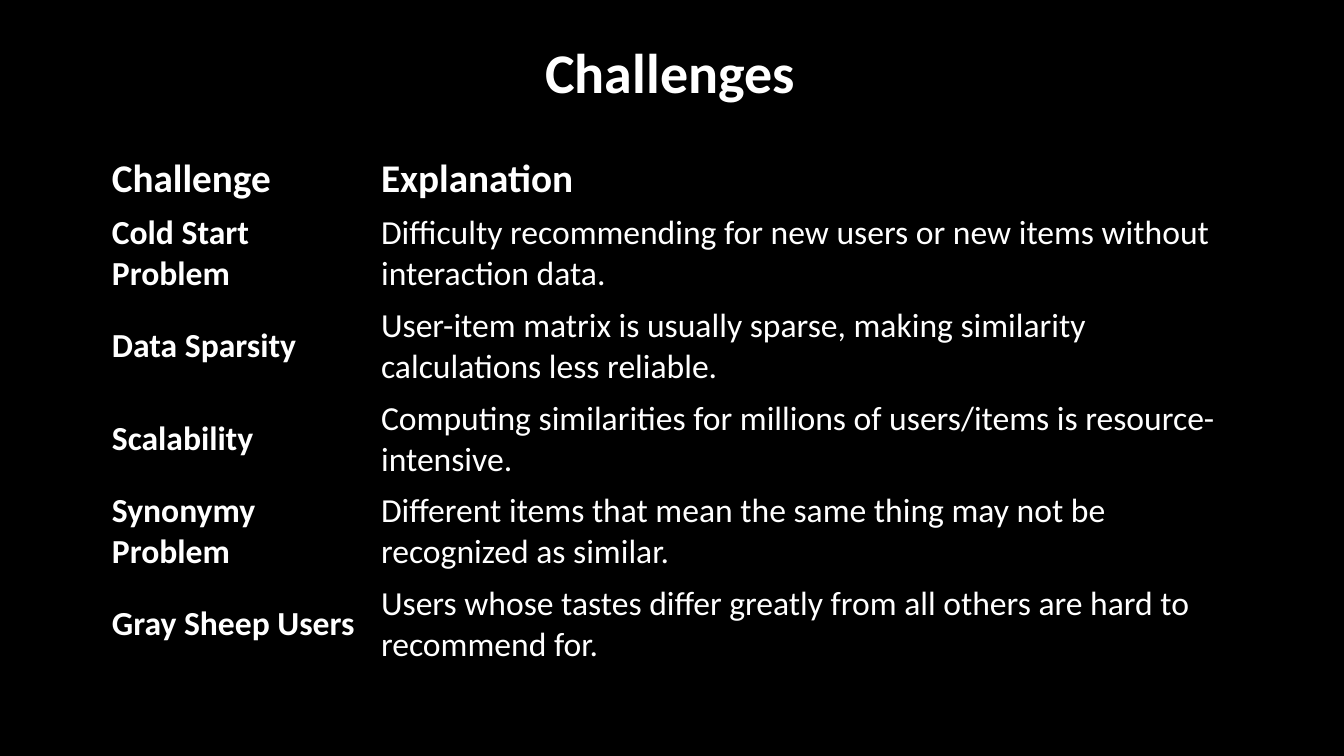
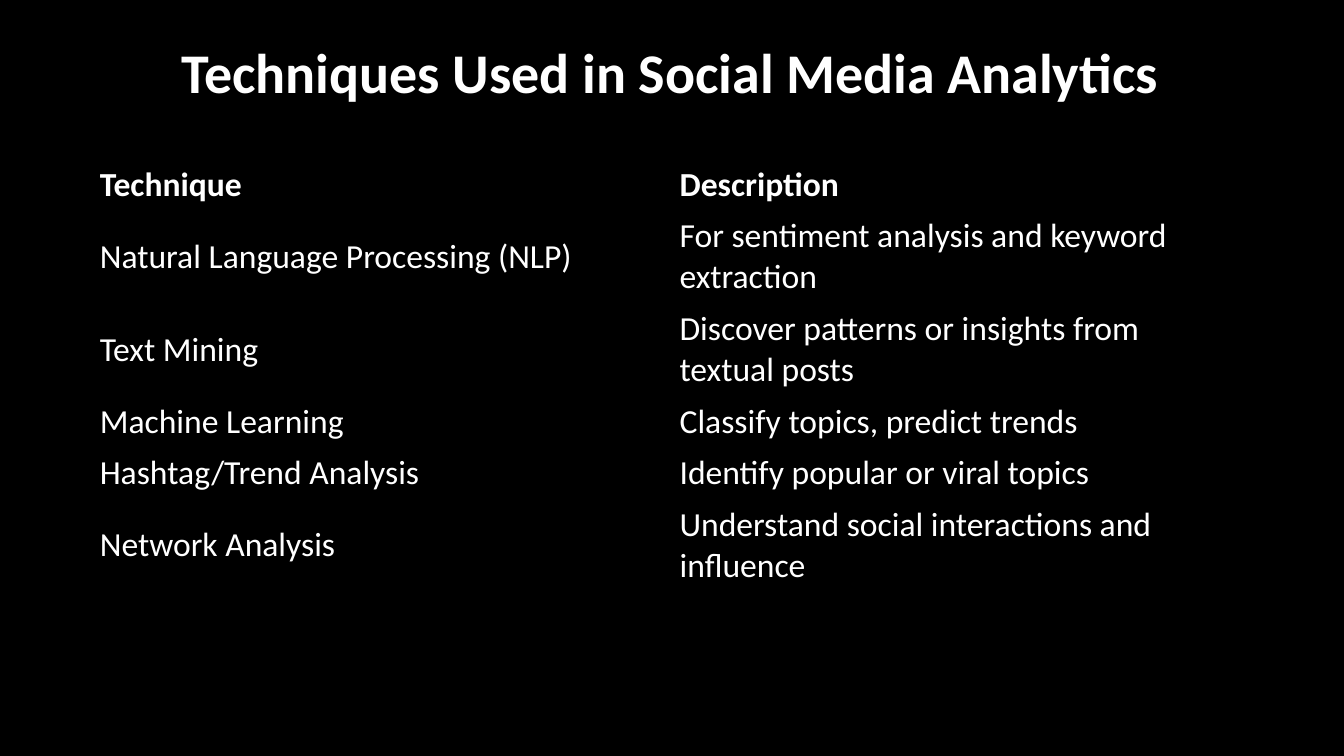
from pptx import Presentation
from pptx.dml.color import RGBColor
from pptx.enum import text
from pptx.util import Inches, Pt

BLACK, WHITE = "000000", "FFFFFF"
FONT = "Calibri"
BODY = 24


def tint(code):
    return RGBColor.from_string(code)


class Deck:
    """Shared style and the slide being built."""

    def __init__(self):
        self.prs = Presentation()
        self.prs.slide_width = Inches(13.33)
        self.prs.slide_height = Inches(7.5)
        self.slide = None

    def style(self, para, size, bold=False):
        for run in para.runs:
            font = run.font
            font.name, font.size, font.bold = FONT, Pt(size), bold
            font.color.rgb = tint(WHITE)

    def page(self, title):
        """Start a black slide with a centred title."""
        self.slide = self.prs.slides.add_slide(self.prs.slide_layouts[6])
        fill = self.slide.background.fill
        fill.solid()
        fill.fore_color.rgb = tint(BLACK)
        box = self.slide.shapes.add_textbox(
            Inches(0.54), Inches(0.4), Inches(12.21), Inches(0.8))
        frame = box.text_frame
        frame.word_wrap = True
        frame.text = title
        para = frame.paragraphs[0]
        para.alignment = text.PP_ALIGN.CENTER
        para.line_spacing = 0.9
        self.style(para, 40, True)

    def table(self, left, top, cols, rows, lines, head=BODY, lead=False):
        """Lines counts the text lines per row; lead makes column one bold."""
        highs = [0.1 + n * 0.41 for n in lines]
        shape = self.slide.shapes.add_table(
            len(rows), len(cols), Inches(left), Inches(top),
            Inches(sum(cols)), Inches(sum(highs)))
        grid = shape.table
        grid.horz_banding = False
        for col, wide in zip(grid.columns, cols):
            col.width = Inches(wide)
        for r, (row, high) in enumerate(zip(rows, highs)):
            grid.rows[r].height = Inches(high)
            for c, words in enumerate(row):
                cell = grid.cell(r, c)
                cell.fill.solid()
                cell.fill.fore_color.rgb = tint(BLACK)
                self.edge(cell)
                cell.vertical_anchor = text.MSO_ANCHOR.MIDDLE
                cell.text_frame.text = words
                self.style(cell.text_frame.paragraphs[0],
                           BODY if r else head, r == 0 or (lead and c == 0))

    def edge(self, cell):
        """Remove the cell borders, which come before the fill in the XML."""
        props = cell._tc.get_or_add_tcPr()
        for i, side in enumerate(("lnL", "lnR", "lnT", "lnB")):
            line = props.makeelement(
                "{http://schemas.openxmlformats.org/drawingml/2006/main}" + side,
                {"w": "0"})
            line.append(line.makeelement(
                "{http://schemas.openxmlformats.org/drawingml/2006/main}noFill", {}))
            props.insert(i, line)


def main():
    deck = Deck()

    deck.page("Challenges")
    deck.table(1.01, 1.49, (2.67, 8.83), (
        ("Challenge", "Explanation"),
        ("Cold Start Problem",
         "Difficulty recommending for new users or new items without interaction data."),
        ("Data Sparsity",
         "User-item matrix is usually sparse, making similarity calculations less reliable."),
        ("Scalability",
         "Computing similarities for millions of users/items is resource-intensive."),
        ("Synonymy Problem",
         "Different items that mean the same thing may not be recognized as similar."),
        ("Gray Sheep Users",
         "Users whose tastes differ greatly from all others are hard to recommend for."),
    ), (1, 2, 2, 2, 2, 2), head=28, lead=True)

    deck.page("Techniques Used in Social Media Analytics")
    deck.table(0.89, 1.58, (5.75, 5.75), (
        ("Technique", "Description"),
        ("Natural Language Processing (NLP)",
         "For sentiment analysis and keyword extraction"),
        ("Text Mining", "Discover patterns or insights from textual posts"),
        ("Machine Learning", "Classify topics, predict trends"),
        ("Hashtag/Trend Analysis", "Identify popular or viral topics"),
        ("Network Analysis", "Understand social interactions and influence"),
    ), (1, 2, 2, 1, 1, 2))

    deck.prs.save("out.pptx")


if __name__ == "__main__":
    main()
